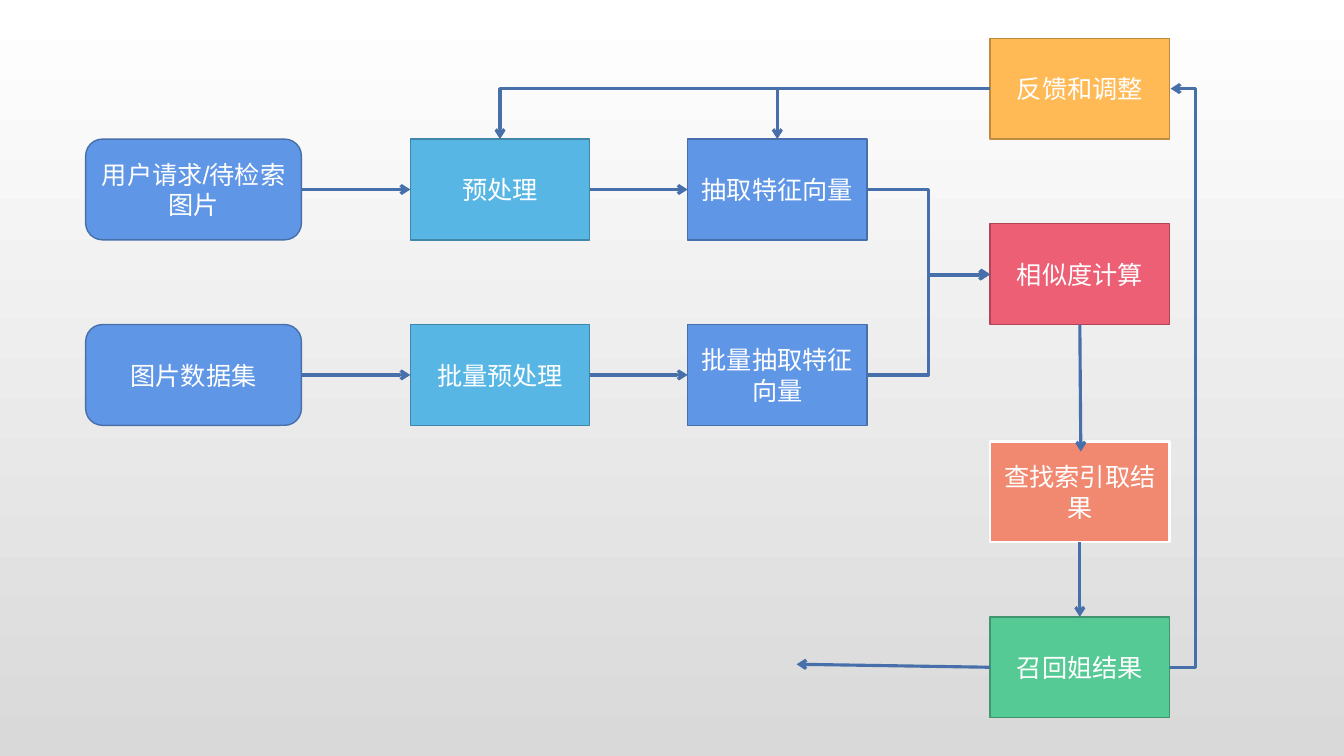
"""Build an image retrieval flowchart slide."""
import pptx
import pptx.dml.color
import pptx.enum.dml
import pptx.enum.shapes
import pptx.enum.text
import pptx.oxml.ns
import pptx.util
import lxml.etree

Inches = pptx.util.Inches
Pt = pptx.util.Pt
RGBColor = pptx.dml.color.RGBColor
SHAPE = pptx.enum.shapes.MSO_SHAPE
CONNECTOR = pptx.enum.shapes.MSO_CONNECTOR
qn = pptx.oxml.ns.qn

WHITE = RGBColor(0xFF, 0xFF, 0xFF)
GREY = RGBColor(0xD9, 0xD9, 0xD9)
BLUE = RGBColor(0x60, 0x96, 0xE6)
DARK_BLUE = RGBColor(0x47, 0x6F, 0xAA)
SKY = RGBColor(0x58, 0xB6, 0xE5)
DARK_SKY = RGBColor(0x41, 0x87, 0xA9)
AMBER = RGBColor(0xFF, 0xBA, 0x55)
DARK_AMBER = RGBColor(0xBD, 0x8A, 0x3F)
RED = RGBColor(0xEC, 0x5F, 0x74)
DARK_RED = RGBColor(0xAF, 0x46, 0x56)
CORAL = RGBColor(0xF1, 0x88, 0x70)
GREEN = RGBColor(0x56, 0xCA, 0x95)
DARK_GREEN = RGBColor(0x40, 0x95, 0x6E)

TOP, LEFT, BOTTOM, RIGHT = range(4)
INPUT_X, PREP_X, FEATURE_X, RESULT_X = 0.85, 4.07, 6.82, 9.82
QUERY_Y, DATASET_Y = 1.38, 3.22
STEP_WIDTH, INPUT_WIDTH, STEP_HEIGHT = 1.78, 2.14, 1
LABEL_FORMAT = {"name": "Arial", "size": Pt(18)}

deck = pptx.Presentation()
deck.slide_width = Inches(13.33)
deck.slide_height = Inches(7.5)
slide = deck.slides.add_slide(deck.slide_layouts[6])

backdrop = slide.background.fill
backdrop.gradient()
backdrop.gradient_angle = 270
for stop, colour in zip(backdrop.gradient_stops, (WHITE, GREY)):
    stop.color.rgb = colour


def add_arrow(kind, start, end):
    """Add an arrow between two points given in inches."""
    arrow = slide.shapes.add_connector(kind, *map(Inches, start + end))
    arrow.line.color.rgb = DARK_BLUE
    arrow.line.width = Pt(2.25)
    outline = arrow.line._get_or_add_ln()
    lxml.etree.SubElement(outline, qn("a:tailEnd"), type="arrow")
    lxml.etree.SubElement(arrow._element.spPr, qn("a:effectLst"))
    return arrow


STEPS = [
    ("用户请求/待检索图片", INPUT_X, QUERY_Y, BLUE, DARK_BLUE),
    ("预处理", PREP_X, QUERY_Y, SKY, DARK_SKY),
    ("抽取特征向量", FEATURE_X, QUERY_Y, BLUE, DARK_BLUE),
    ("批量预处理", PREP_X, DATASET_Y, SKY, DARK_SKY),
    ("批量抽取特征向量", FEATURE_X, DATASET_Y, BLUE, DARK_BLUE),
    ("图片数据集", INPUT_X, DATASET_Y, BLUE, DARK_BLUE),
    ("反馈和调整", RESULT_X, 0.38, AMBER, DARK_AMBER),
    ("相似度计算", RESULT_X, 2.22, RED, DARK_RED),
    ("查找索引取结果", RESULT_X, 4.38, CORAL, WHITE),
    ("召回姐结果", RESULT_X, 6.12, GREEN, DARK_GREEN),
]
steps = {}
for label, x, y, fill, border in STEPS:
    is_input = x == INPUT_X
    step = slide.shapes.add_shape(
        SHAPE.ROUNDED_RECTANGLE if is_input else SHAPE.RECTANGLE,
        Inches(x), Inches(y),
        Inches(INPUT_WIDTH if is_input else STEP_WIDTH), Inches(STEP_HEIGHT))
    step.shadow.inherit = False
    step.fill.solid()
    step.fill.fore_color.rgb = fill
    step.line.color.rgb = border
    step.line.width = Pt(1.5 if border == WHITE else 1)
    step.text_frame.word_wrap = True
    step.text_frame.vertical_anchor = pptx.enum.text.MSO_ANCHOR.MIDDLE
    paragraph = step.text_frame.paragraphs[0]
    paragraph.alignment = pptx.enum.text.PP_ALIGN.CENTER
    run = paragraph.add_run()
    run.text = label
    run.font.color.rgb = WHITE
    for attribute, value in LABEL_FORMAT.items():
        setattr(run.font, attribute, value)
    steps[label] = step

FLOWS = [
    ("用户请求/待检索图片", RIGHT, "预处理", LEFT),
    ("预处理", RIGHT, "抽取特征向量", LEFT),
    ("图片数据集", RIGHT, "批量预处理", LEFT),
    ("批量预处理", RIGHT, "批量抽取特征向量", LEFT),
    ("查找索引取结果", BOTTOM, "召回姐结果", TOP),
]
for source, source_side, target, target_side in FLOWS:
    flow = add_arrow(CONNECTOR.STRAIGHT, (0, 0), (1, 1))
    flow.begin_connect(steps[source], source_side)
    flow.end_connect(steps[target], target_side)

OPEN_FLOWS = [
    ("相似度计算", BOTTOM, (10.71, 3.22), (10.72, 4.48)),
    ("召回姐结果", LEFT, (9.82, 6.62), (7.9, 6.59)),
]
for source, side, start, end in OPEN_FLOWS:
    add_arrow(CONNECTOR.STRAIGHT, start, end).begin_connect(steps[source], side)

feedback_loop = add_arrow(CONNECTOR.ELBOW, (11.6, 6.62), (11.61, 0.88))
bend = feedback_loop._element.spPr.find(qn("a:prstGeom")).get_or_add_avLst()
lxml.etree.SubElement(bend, qn("a:gd"), name="adj1", fmla="val 2600000")

for start, end in [((8.6, 1.88), (9.82, 2.72)), ((8.6, 3.72), (9.81, 2.73))]:
    add_arrow(CONNECTOR.ELBOW, start, end)

for column_x in (FEATURE_X, PREP_X):
    feedback = add_arrow(CONNECTOR.ELBOW, (RESULT_X, 0.88),
                         (column_x + STEP_WIDTH / 2, QUERY_Y))
    feedback._element.spPr.find(qn("a:prstGeom")).set("prst", "bentConnector2")

deck.save("out.pptx")
